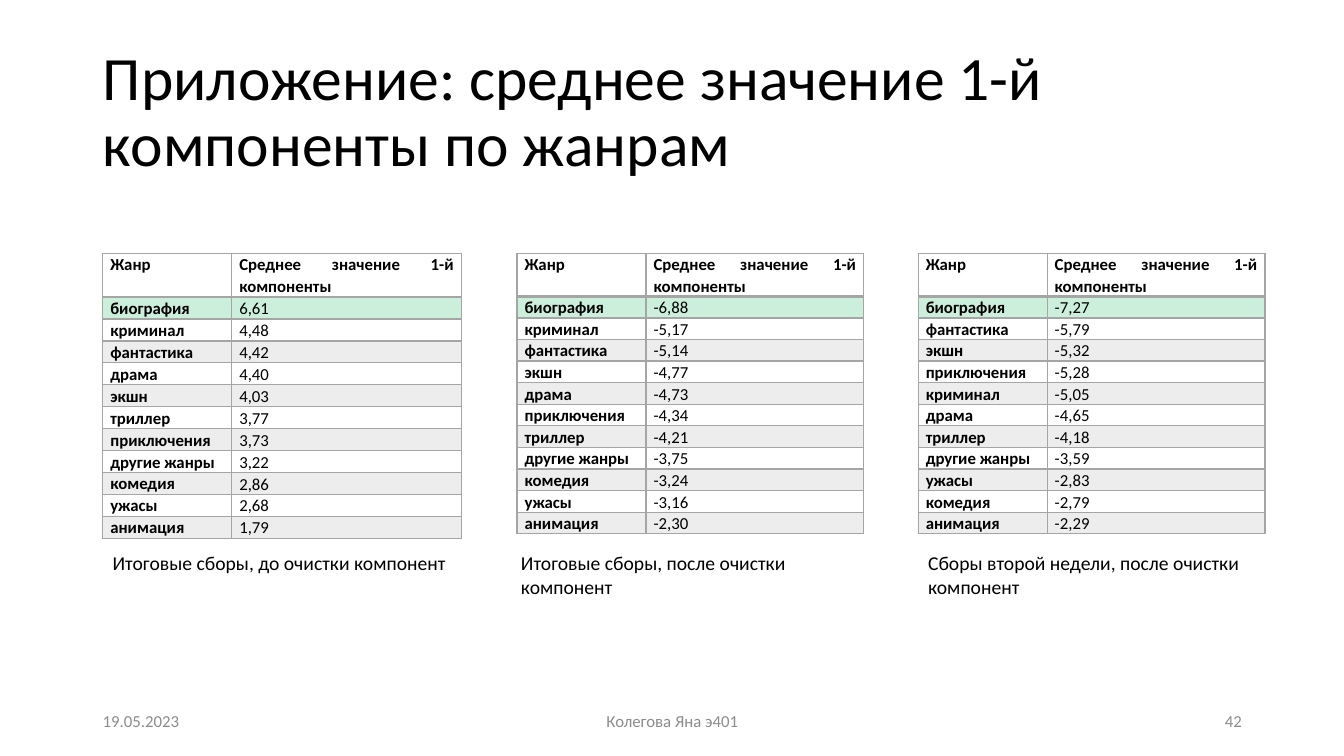
"""Builds a slide comparing the mean first component by film genre in three tables."""
from dataclasses import dataclass

from lxml.etree import SubElement
from pptx import Presentation
from pptx.dml.color import RGBColor
from pptx.enum.text import MSO_ANCHOR as Anchor
from pptx.enum.text import MSO_AUTO_SIZE as AutoSize
from pptx.enum.text import PP_ALIGN as Align
from pptx.oxml.ns import qn
from pptx.slide import Slide
from pptx.table import _Cell as Cell
from pptx.text.text import TextFrame
from pptx.util import Cm, Pt

BLACK = RGBColor(0x00, 0x00, 0x00)
GREY = RGBColor(0xA5, 0xA5, 0xA5)
GREEN = RGBColor(0x00, 0xB0, 0x50)
FOOTER_GREY = RGBColor(0x8C, 0x8C, 0x8C)
FONT = "Calibri"
HEADER = ("Жанр", "Среднее значение 1-й компоненты")
TABLE_TOP, ROW_HEIGHT, GENRE_WIDTH = 6.38, 0.51, 3.25
CAPTION_TOP, CAPTION_WIDTH = 13.77, 9.04
FOOTER_TOP, FOOTER_HEIGHT = 17.65, 1.02


@dataclass(frozen=True)
class GenreTable:
    left: float
    value_width: float
    caption: str
    caption_left: float
    caption_height: float
    rows: tuple[tuple[str, str], ...]


@dataclass(frozen=True)
class FooterItem:
    text: str
    left: float
    width: float
    align: Align


TABLES = (
    GenreTable(2.59, 5.79, "Итоговые сборы, до очистки компонент", 2.59, 0.86, (
        ("биография", "6,61"), ("криминал", "4,48"), ("фантастика", "4,42"),
        ("драма", "4,40"), ("экшн", "4,03"), ("триллер", "3,77"),
        ("приключения", "3,73"), ("другие жанры", "3,22"), ("комедия", "2,86"),
        ("ужасы", "2,68"), ("анимация", "1,79"))),
    GenreTable(13.03, 5.49, "Итоговые сборы, после очистки компонент", 12.88, 1.45, (
        ("биография", "-6,88"), ("криминал", "-5,17"), ("фантастика", "-5,14"),
        ("экшн", "-4,77"), ("драма", "-4,73"), ("приключения", "-4,34"),
        ("триллер", "-4,21"), ("другие жанры", "-3,75"), ("комедия", "-3,24"),
        ("ужасы", "-3,16"), ("анимация", "-2,30"))),
    GenreTable(23.14, 5.49, "Сборы второй недели, после очистки компонент", 23.14, 1.45, (
        ("биография", "-7,27"), ("фантастика", "-5,79"), ("экшн", "-5,32"),
        ("приключения", "-5,28"), ("криминал", "-5,05"), ("драма", "-4,65"),
        ("триллер", "-4,18"), ("другие жанры", "-3,59"), ("ужасы", "-2,83"),
        ("комедия", "-2,79"), ("анимация", "-2,29"))),
)
FOOTER = (
    FooterItem("19.05.2023", 2.34, 7.62, Align.LEFT),
    FooterItem("Колегова Яна э401", 11.23, 11.43, Align.CENTER),
    FooterItem("42", 23.93, 7.62, Align.RIGHT),
)


def write(frame: TextFrame, text: str, size: float, color: RGBColor = BLACK,
          align: Align = Align.LEFT, bold: bool = False, spacing: float = 1.0) -> None:
    frame.text = text
    para = frame.paragraphs[0]
    para.alignment = align
    para.line_spacing = spacing
    para.font.name = FONT
    para.font.size = Pt(size)
    para.font.bold = bold
    para.font.color.rgb = color


def add_text(page: Slide, text: str, left: float, top: float, width: float, height: float,
             size: float, color: RGBColor = BLACK, align: Align = Align.LEFT,
             anchor: Anchor = Anchor.TOP) -> None:
    box = page.shapes.add_textbox(Cm(left), Cm(top), Cm(width), Cm(height))
    box.text_frame.word_wrap = True
    box.text_frame.vertical_anchor = anchor
    write(box.text_frame, text, size, color, align)


def tint(cell: Cell, color: RGBColor) -> None:
    cell.fill.solid()
    cell.fill.fore_color.rgb = color
    shade = cell._tc.tcPr.find(qn("a:solidFill")).find(qn("a:srgbClr"))
    SubElement(shade, qn("a:alpha"), val="20000")


def outline(cell: Cell, bottom: float) -> None:
    properties = cell._tc.get_or_add_tcPr()
    sides = (("a:lnL", 1), ("a:lnR", 1), ("a:lnT", 1), ("a:lnB", bottom))
    for index, (side, width) in enumerate(sides):
        line = SubElement(properties, qn(side), w=str(Pt(width)))
        fill = SubElement(line, qn("a:solidFill"))
        SubElement(fill, qn("a:srgbClr"), val=str(GREY))
        properties.insert(index, line)


def format_cell(cell: Cell, text: str, row: int, column: int) -> None:
    cell.margin_left = cell.margin_right = Cm(0.19)
    cell.margin_top = cell.margin_bottom = 0
    is_value = row > 0 and column == 1
    cell.vertical_anchor = Anchor.MIDDLE if is_value else Anchor.TOP
    write(cell.text_frame, text, 12, align=Align.JUSTIFY, bold=not is_value, spacing=1.07)
    if row % 2:
        tint(cell, GREEN if row == 1 else GREY)
    else:
        cell.fill.background()
    outline(cell, bottom=1 if row else 2)


def add_genre_table(page: Slide, item: GenreTable) -> None:
    rows = (HEADER, *item.rows)
    frame = page.shapes.add_table(
        len(rows), len(HEADER), Cm(item.left), Cm(TABLE_TOP),
        Cm(GENRE_WIDTH + item.value_width), Cm(ROW_HEIGHT * len(rows)))
    table = frame.table
    table.first_row = table.horz_banding = False
    for column, width in zip(table.columns, (GENRE_WIDTH, item.value_width)):
        column.width = Cm(width)
    for row, texts in enumerate(rows):
        table.rows[row].height = Cm(ROW_HEIGHT)
        for column, text in enumerate(texts):
            format_cell(table.cell(row, column), text, row, column)
    add_text(page, item.caption, item.caption_left, CAPTION_TOP,
             CAPTION_WIDTH, item.caption_height, 14)


def add_title(page: Slide, text: str) -> None:
    title = page.shapes.title
    title.left, title.top, title.width, title.height = Cm(2.34), Cm(1.02), Cm(29.21), Cm(3.68)
    title.text_frame.word_wrap = True
    title.text_frame.auto_size = AutoSize.NONE
    title.text_frame.vertical_anchor = Anchor.MIDDLE
    write(title.text_frame, text, 44, spacing=0.9)


def main() -> None:
    deck = Presentation()
    deck.slide_width, deck.slide_height = Cm(33.87), Cm(19.05)
    page = deck.slides.add_slide(deck.slide_layouts[5])
    add_title(page, "Приложение: среднее значение 1-й компоненты по жанрам")
    for item in TABLES:
        add_genre_table(page, item)
    for item in FOOTER:
        add_text(page, item.text, item.left, FOOTER_TOP, item.width, FOOTER_HEIGHT,
                 12, FOOTER_GREY, item.align, Anchor.MIDDLE)
    deck.save("out.pptx")


if __name__ == "__main__":
    main()
